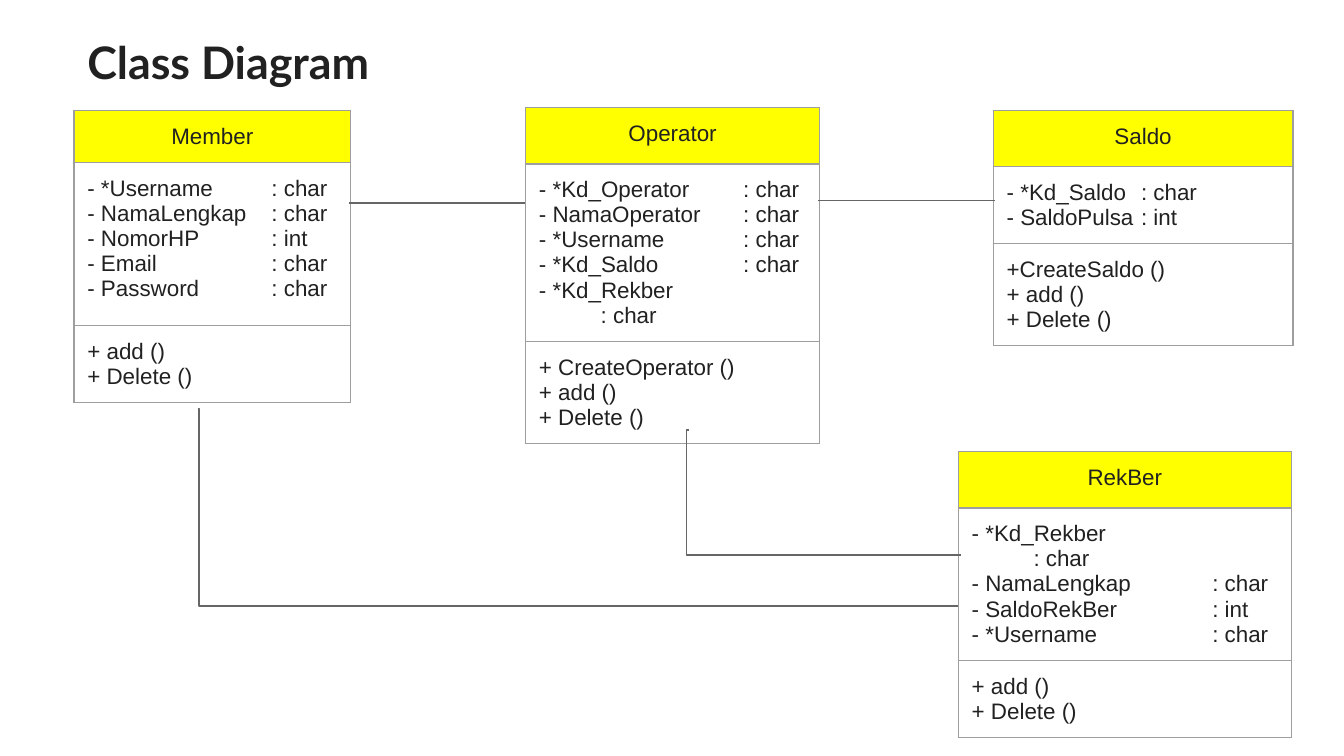
from dataclasses import dataclass

from lxml import etree
from pptx import Presentation
from pptx import util as u
from pptx.dml.color import RGBColor
from pptx.enum import shapes, text
from pptx.oxml import ns


@dataclass(frozen=True)
class Theme:
    ink: str = "212121"
    header: str = "FFFF00"
    border: str = "9E9E9E"
    link: str = "666666"
    title_font: str = "Lato"
    body_font: str = "Arial"
    title_size: int = 24
    body_size: int = 12
    line_width: float = 0.75
    inset: float = 0.1


THEME = Theme()
TITLE_ONLY = 5
WRAP_TAB = 0.46  # type position when it falls on its own line

# Each class: name, (left, top), width, row heights, tab, attributes, methods.
# A third item in an attribute puts its type on a second line.
CLASSES = [
    ("Member", (0.55, 0.82), 2.06, (0.39, 1.21, 0.57), 1.37,
     [("*Username", "char"), ("NamaLengkap", "char"), ("NomorHP", "int"),
      ("Email", "char"), ("Password", "char")],
     ["+ add ()", "+ Delete ()"]),
    ("Operator", (3.91, 0.8), 2.19, (0.42, 1.32, 0.76), 1.52,
     [("*Kd_Operator", "char"), ("NamaOperator", "char"), ("*Username", "char"),
      ("*Kd_Saldo", "char"), ("*Kd_Rekber", "char", True)],
     ["+ CreateOperator ()", "+ add ()", "+ Delete ()"]),
    ("Saldo", (7.39, 0.82), 2.23, (0.42, 0.57, 0.76), 1,
     [("*Kd_Saldo", "char"), ("SaldoPulsa", "int")],
     ["+CreateSaldo ()", "+ add ()", "+ Delete ()"]),
    ("RekBer", (7.13, 3.36), 2.48, (0.42, 1.13, 0.57), 1.79,
     [("*Kd_Rekber", "char", True), ("NamaLengkap", "char"),
      ("SaldoRekBer", "int"), ("*Username", "char")],
     ["+ add ()", "+ Delete ()"]),
]

# Each link: start, end, and the bend as a share of the width (None: straight).
LINKS = [
    ((2.6, 1.51), (3.91, 1.51), None),
    ((6.09, 1.49), (7.4, 1.49), None),
    ((1.47, 3.04), (7.13, 4.51), 0.002),
    ((5.13, 3.2), (7.15, 4.13), -0.012),
]


def add_run(paragraph, words, font=THEME.body_font, size=THEME.body_size, bold=False):
    run = paragraph.add_run()
    run.text = words
    run.font.name = font
    run.font.size = u.Pt(size)
    run.font.bold = bold
    run.font.color.rgb = RGBColor.from_string(THEME.ink)


def set_tab(paragraph, position):
    properties = paragraph._p.get_or_add_pPr()
    tabs = etree.SubElement(properties, ns.qn("a:tabLst"))
    etree.SubElement(tabs, ns.qn("a:tab"), pos=str(u.Inches(position)), algn="l")


def set_insets(target):
    for side in ("left", "top", "right", "bottom"):
        setattr(target, f"margin_{side}", u.Inches(THEME.inset))


def add_title(slide, words):
    title = slide.shapes.title
    title.left, title.top = u.Inches(0.55), u.Inches(0.16)
    title.width, title.height = u.Inches(9.11), u.Inches(0.48)
    frame = title.text_frame
    set_insets(frame)
    frame.auto_size = text.MSO_AUTO_SIZE.NONE
    frame.vertical_anchor = text.MSO_ANCHOR.TOP
    paragraph = frame.paragraphs[0]
    paragraph.alignment = text.PP_ALIGN.LEFT
    add_run(paragraph, words, THEME.title_font, THEME.title_size, True)


def style_cell(cell):
    set_insets(cell)
    cell.vertical_anchor = text.MSO_ANCHOR.TOP
    properties = cell._tc.get_or_add_tcPr()
    for edge in ("lnL", "lnR", "lnT", "lnB"):
        line = etree.SubElement(properties, ns.qn(f"a:{edge}"),
                                w=str(u.Pt(THEME.line_width)))
        fill = etree.SubElement(line, ns.qn("a:solidFill"))
        etree.SubElement(fill, ns.qn("a:srgbClr"), val=THEME.border)
    cell.fill.background()


def cell_paragraphs(cell, count):
    frame = cell.text_frame
    for _ in range(count - 1):
        frame.add_paragraph()
    return frame.paragraphs


def add_attribute(paragraph, tab, name, kind, wrapped=False):
    set_tab(paragraph, WRAP_TAB if wrapped else tab)
    add_run(paragraph, f"- {name}")
    if wrapped:
        paragraph.add_line_break()
    add_run(paragraph, f"\t: {kind}")


def add_class(slide, name, corner, width, heights, tab, attributes, methods):
    frame = slide.shapes.add_table(
        len(heights), 1, *map(u.Inches, (*corner, width, sum(heights))))
    table = frame.table
    table.first_row = table.horz_banding = False
    for row, height in zip(table.rows, heights):
        row.height = u.Inches(height)
        style_cell(row.cells[0])
    header, body, footer = (row.cells[0] for row in table.rows)

    # Class name
    header.fill.solid()
    header.fill.fore_color.rgb = RGBColor.from_string(THEME.header)
    heading = header.text_frame.paragraphs[0]
    heading.alignment = text.PP_ALIGN.CENTER
    add_run(heading, name)

    # Attributes and methods
    for paragraph, attribute in zip(cell_paragraphs(body, len(attributes)), attributes):
        add_attribute(paragraph, tab, *attribute)
    for paragraph, method in zip(cell_paragraphs(footer, len(methods)), methods):
        add_run(paragraph, method)


def add_link(slide, start, end, bend):
    kind = shapes.MSO_CONNECTOR.STRAIGHT if bend is None else shapes.MSO_CONNECTOR.ELBOW
    link = slide.shapes.add_connector(kind, *map(u.Inches, (*start, *end)))
    link.line.color.rgb = RGBColor.from_string(THEME.link)
    link.line.width = u.Pt(THEME.line_width)
    properties = link._element.spPr
    etree.SubElement(properties, ns.qn("a:effectLst"))
    if bend is not None:
        guides = properties.find(f"{ns.qn('a:prstGeom')}/{ns.qn('a:avLst')}")
        etree.SubElement(guides, ns.qn("a:gd"), name="adj1",
                         fmla=f"val {round(bend * 100000)}")


def main():
    # Widescreen page, 16:9
    presentation = Presentation()
    presentation.slide_width = u.Inches(10)
    presentation.slide_height = u.Inches(10 * 9 / 16)
    slide = presentation.slides.add_slide(presentation.slide_layouts[TITLE_ONLY])

    add_title(slide, "Class Diagram")
    for entry in CLASSES:
        add_class(slide, *entry)
    for link in LINKS:
        add_link(slide, *link)

    presentation.save("out.pptx")


if __name__ == "__main__":
    main()
